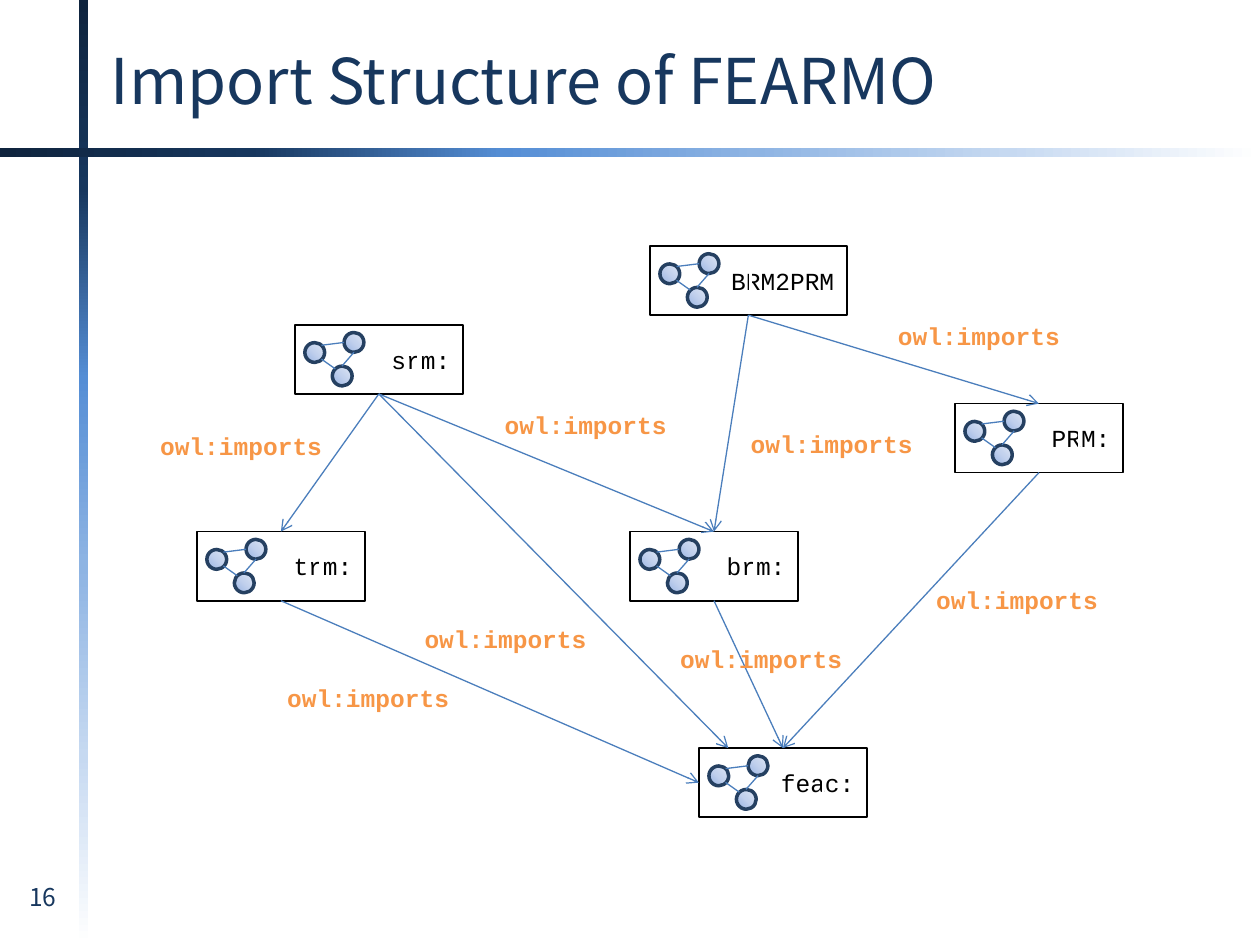
from pptx import Presentation
from pptx.dml.color import RGBColor
from pptx.enum.shapes import MSO_CONNECTOR, MSO_SHAPE
from pptx.enum.text import MSO_ANCHOR, MSO_AUTO_SIZE, PP_ALIGN
from pptx.oxml import parse_xml
from pptx.oxml.ns import nsdecls, qn
from pptx.util import Pt

NAVY = RGBColor(0x17, 0x37, 0x5E)
DOT_EDGE = RGBColor(0x25, 0x40, 0x61)
BLUE = RGBColor(0x4B, 0x7E, 0xBC)
ORANGE = RGBColor(0xF7, 0x96, 0x46)
BLACK = RGBColor(0, 0, 0)
WHITE = RGBColor(0xFF, 0xFF, 0xFF)
BAR_STOPS = [RGBColor.from_string(c) for c in
             ("0F243E", "17375E", "558ED5", "8EB4E3", "C6D9F1", "FFFFFF")]
DOT_STOPS = [RGBColor.from_string(c) for c in ("9AB5E4", "C2D1ED", "E1E8F5")]

SANS, MONO = "Noto Sans CJK KR", "Courier New"
TOP, LEFT, BOTTOM = 0, 1, 2  # connection sites of a rectangle
NODE_W, NODE_H = 96, 39.5
DOT = 11.3

# prefix: left, top, width, offset of the white stroke
NODES = {
    "brm:": (360, 303.8, NODE_W, 70.8),
    "srm:": (168.5, 185.6, NODE_W, 70.8),
    "trm:": (112.5, 303.8, NODE_W, 70.8),
    "feac:": (399.4, 427.5, NODE_W, 70.8),
    "PRM:": (545.7, 230.6, NODE_W, 70.8),
    "BRM2PRM": (371.4, 140.6, 112.5, 57.5),
}
GRAPH_DOTS = [(28.1, 4.4), (21.4, 23.6), (5.7, 10.2)]
GRAPH_LINKS = [(15.2, 11.7, 28.1, 10.1), (15.2, 19.6, 23.1, 25.2),
               (33.8, 15.7, 26.9, 23.6)]
IMPORTS = [
    ("srm:", "trm:", TOP), ("trm:", "feac:", LEFT), ("srm:", "brm:", TOP),
    ("BRM2PRM", "brm:", TOP), ("BRM2PRM", "PRM:", TOP),
    ("PRM:", "feac:", TOP), ("brm:", "feac:", TOP),
]
DIRECT_IMPORT_END = (416.2, 427.5)
IMPORT_LABELS = [(506, 180), (527.8, 330.5), (421.9, 241.9), (281.3, 230.6),
                 (84.4, 242.6), (157, 386.5), (235.5, 352.8), (381.6, 364.5)]


def fill_gradient(shape, stops, direction):
    """Fill with evenly spaced stops; direction is the a:lin or a:path XML."""
    step = 100000 // (len(stops) - 1)
    stop_xml = "".join(
        f'<a:gs pos="{i * step}"><a:srgbClr val="{color}"/></a:gs>'
        for i, color in enumerate(stops))
    shape.fill.background()
    properties = shape.element.spPr
    properties.replace(properties.find(qn("a:noFill")), parse_xml(
        f'<a:gradFill {nsdecls("a")} rotWithShape="1">'
        f"<a:gsLst>{stop_xml}</a:gsLst>{direction}</a:gradFill>"))


def add_preset(shapes, preset, left, top, width, height):
    shape = shapes.add_shape(preset, Pt(left), Pt(top), Pt(width), Pt(height))
    shape.shadow.inherit = False
    return shape


def add_bar(slide, left, top, width, height, angle):
    bar = add_preset(slide.shapes, MSO_SHAPE.RECTANGLE, left, top, width, height)
    fill_gradient(bar, BAR_STOPS, f'<a:lin ang="{angle * 60000}" scaled="0"/>')
    bar.line.fill.background()


def add_line(shapes, x1, y1, x2, y2, color=BLUE, weight=0.75):
    line = shapes.add_connector(MSO_CONNECTOR.STRAIGHT,
                                Pt(x1), Pt(y1), Pt(x2), Pt(y2))
    line.line.color.rgb = color
    line.line.width = Pt(weight)
    line.element.spPr.append(parse_xml(f'<a:effectLst {nsdecls("a")}/>'))
    return line


def write(frame, text, font, size, color, bold=False, align=PP_ALIGN.LEFT):
    paragraph = frame.paragraphs[0]
    paragraph.alignment = align
    run = paragraph.add_run()
    run.text = text
    run.font.name, run.font.size, run.font.bold = font, Pt(size), bold
    run.font.color.rgb = color


def add_text(slide, left, top, width, height, wrap=True):
    frame = slide.shapes.add_textbox(
        Pt(left), Pt(top), Pt(width), Pt(height)).text_frame
    frame.word_wrap = wrap
    return frame


def add_graph_icon(shapes, left, top):
    icon = shapes.add_group_shape().shapes
    for x, y in GRAPH_DOTS:
        dot = add_preset(icon, MSO_SHAPE.OVAL, left + x, top + y, DOT, DOT)
        fill_gradient(dot, DOT_STOPS, '<a:path path="circle">'
                      '<a:fillToRect t="100000" r="100000"/></a:path>')
        dot.line.color.rgb = DOT_EDGE
        dot.line.width = Pt(2)
    for x1, y1, x2, y2 in GRAPH_LINKS:
        add_line(icon, left + x1, top + y1, left + x2, top + y2)


def add_node(slide, prefix, left, top, width, stroke_x):
    """Add an ontology box and return the box that arrows attach to."""
    node = slide.shapes.add_group_shape().shapes
    box = add_preset(node, MSO_SHAPE.RECTANGLE, left, top, width, NODE_H)
    box.fill.solid()
    box.fill.fore_color.rgb = WHITE
    box.line.color.rgb = BLACK
    box.line.width = Pt(1)
    box.text_frame.vertical_anchor = MSO_ANCHOR.MIDDLE
    write(box.text_frame, prefix, MONO, 14, BLACK, align=PP_ALIGN.RIGHT)
    add_line(node, left + stroke_x, top + 8, left + stroke_x, top + 30, WHITE, 1.5)
    add_graph_icon(node, left, top)
    return box


def add_import_arrow(slide, importer, imported=None, site=TOP, end=(0, 0)):
    """Point from an importer to a site of a box, or to a free end point."""
    arrow = add_line(slide.shapes, 0, 0, *end)
    arrow.begin_connect(importer, BOTTOM)
    if imported is not None:
        arrow.end_connect(imported, site)
    arrow.line._get_or_add_ln().append(
        parse_xml(f'<a:tailEnd {nsdecls("a")} type="arrow"/>'))


def add_import_label(slide, left, top):
    frame = add_text(slide, left, top, 107, 24.2, wrap=False)
    frame.auto_size = MSO_AUTO_SIZE.SHAPE_TO_FIT_TEXT
    write(frame, "owl:imports", MONO, 14, ORANGE, bold=True)


def main():
    deck = Presentation()
    deck.slide_width, deck.slide_height = Pt(720), Pt(540)
    slide = deck.slides.add_slide(deck.slide_layouts[6])

    add_bar(slide, 45, 0, 5.5, 540, 90)
    add_bar(slide, 0, 84.5, 720, 5.5, 0)
    title = add_text(slide, 56.2, 11.5, 580, 67.7)
    title.vertical_anchor = MSO_ANCHOR.MIDDLE
    write(title, "Import Structure of FEARMO", SANS, 36, NAVY)
    page_number = add_text(slide, 4, 500.4, 41, 28.8)
    write(page_number, "16", SANS, 14, NAVY, align=PP_ALIGN.CENTER)

    boxes = {prefix: add_node(slide, prefix, *place)
             for prefix, place in NODES.items()}
    for importer, imported, site in IMPORTS:
        add_import_arrow(slide, boxes[importer], boxes[imported], site)
    add_import_arrow(slide, boxes["srm:"], end=DIRECT_IMPORT_END)
    for left, top in IMPORT_LABELS:
        add_import_label(slide, left, top)

    deck.save("out.pptx")


if __name__ == "__main__":
    main()
